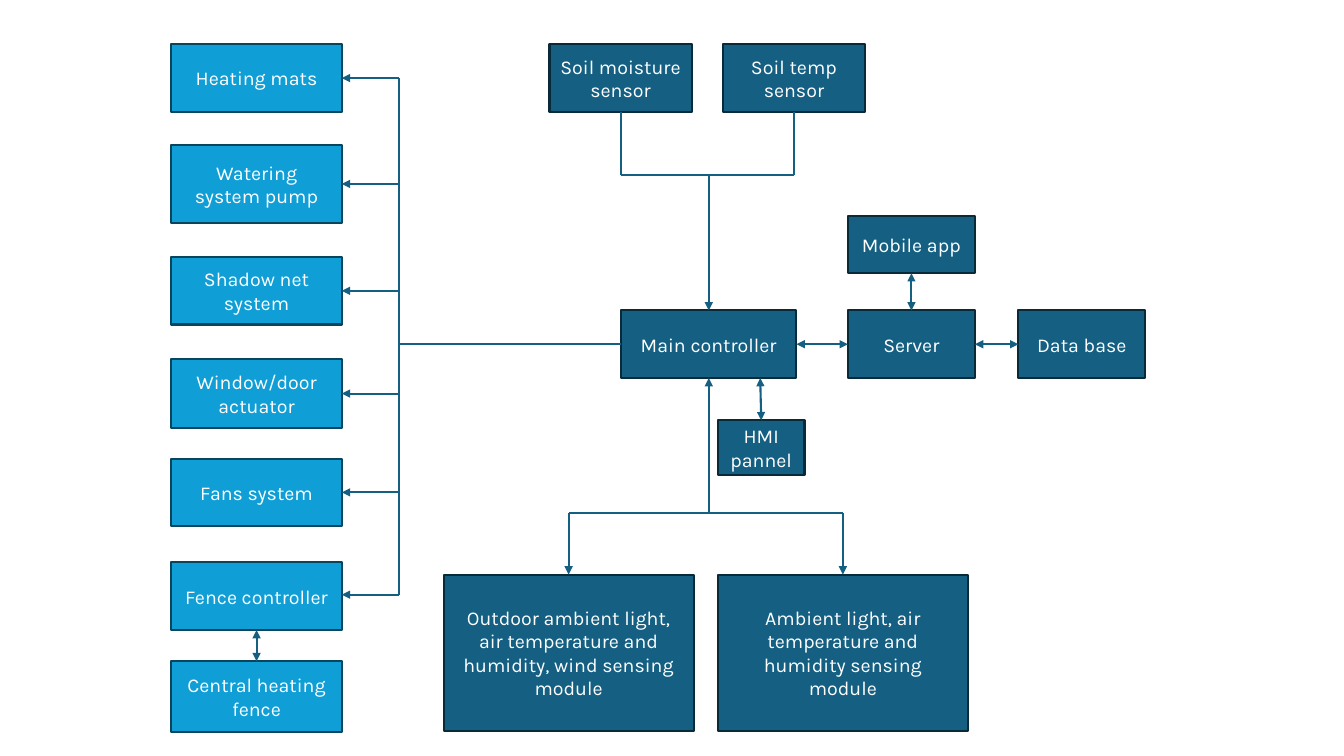
from pptx import Presentation
from pptx.dml.color import RGBColor
from pptx.enum import shapes, text
from pptx.oxml import parse_xml
from pptx.oxml.ns import nsdecls
from pptx.util import Inches, Pt

THEME = {
    "font": "Karla", "size": 14, "text": "FFFFFF", "line": 1.5, "link": "156082",
    "core": ("156082", "092A39"),      # fill, outline
    "actuator": ("0F9ED5", "07455D"),
}
TOP, LEFT, BOTTOM, RIGHT = range(4)

# label: (left, top, width, height)
CORE = {
    "Main controller": (6.16, 3.08, 1.74, 0.67),
    "Mobile app": (8.41, 2.14, 1.26, 0.57),
    "Server": (8.41, 3.08, 1.26, 0.67),
    "Data base": (10.1, 3.08, 1.26, 0.67),
    "HMI pannel": (7.12, 4.17, 0.86, 0.54),
    "Soil moisture sensor": (5.45, 0.44, 1.41, 0.67),
    "Soil temp sensor": (7.17, 0.44, 1.41, 0.67),
    "Outdoor ambient light, air temperature and humidity, wind sensing module":
        (4.4, 5.7, 2.48, 1.55),
    "Ambient light, air temperature and humidity sensing module":
        (7.12, 5.7, 2.48, 1.55),
}
# label: (top, height), all in one column
ACTUATOR_LEFT, ACTUATOR_WIDTH = 1.7, 1.69
ACTUATORS = {
    "Heating mats": (0.44, 0.67),
    "Watering system pump": (1.44, 0.77),
    "Shadow net system": (2.55, 0.67),
    "Window/door actuator": (3.56, 0.69),
    "Fans system": (4.55, 0.67),
    "Fence controller": (5.58, 0.67),
    "Central heating fence": (6.56, 0.7),
}
PROCESS_BOXES = {"Fans system", list(CORE)[7]}
MAIN, FENCE = "Main controller", "Fence controller"
SENSORS, MODULES = list(CORE)[5:7], list(CORE)[7:]
BUS_X, SENSOR_BUS_Y, MODULE_BUS_Y = 3.96, 1.74, 5.09

boxes = {**CORE, **{label: (ACTUATOR_LEFT, top, ACTUATOR_WIDTH, height)
                    for label, (top, height) in ACTUATORS.items()}}


def side_middle(label, side):
    x, y, w, h = boxes[label]
    return [(x + w / 2, y), (x, y + h / 2), (x + w / 2, y + h), (x + w, y + h / 2)][side]


def plan_links():
    """List (begin, end, arrows); an end is (label, side) or a point (x, y)."""
    links = [
        (("Server", LEFT), (MAIN, RIGHT), "both"),
        (("Mobile app", BOTTOM), ("Server", TOP), "both"),
        (("Data base", LEFT), ("Server", RIGHT), "both"),
        (("Central heating fence", TOP), (FENCE, BOTTOM), "both"),
        (("HMI pannel", TOP), (7.54, 3.75), "both"),
    ]
    bus_ys = []
    for label in list(ACTUATORS)[:-1]:
        # the bus meets the fence controller just above its middle
        y = 5.9 if label == FENCE else side_middle(label, LEFT)[1]
        end = (boxes[label][0] + ACTUATOR_WIDTH, y) if label == FENCE else (label, RIGHT)
        links.append(((BUS_X, y), end, "end"))
        bus_ys.append(y)
    links.append(((BUS_X, bus_ys[0]), (BUS_X, bus_ys[-1]), ""))
    links.append(((MAIN, LEFT), (BUS_X, side_middle(MAIN, LEFT)[1]), ""))

    main_x = side_middle(MAIN, TOP)[0]
    for labels, side, bus_y, main_side in ((SENSORS, BOTTOM, SENSOR_BUS_Y, TOP),
                                           (MODULES, TOP, MODULE_BUS_Y, BOTTOM)):
        xs = [side_middle(label, side)[0] for label in labels]
        arrows = "end" if labels == MODULES else ""
        links += [((x, bus_y), (label, side), arrows) for x, label in zip(xs, labels)]
        links.append(((xs[0], bus_y), (xs[1], bus_y), ""))
        links.append(((main_x, bus_y), (MAIN, main_side), "end"))
    return links


def add_box(slide, label):
    preset = shapes.MSO_SHAPE
    kind = preset.FLOWCHART_PROCESS if label in PROCESS_BOXES else preset.RECTANGLE
    sp = slide.shapes.add_shape(kind, *map(Inches, boxes[label]))
    fill, outline = THEME["actuator" if label in ACTUATORS else "core"]
    sp.shadow.inherit = False
    sp.fill.solid()
    sp.fill.fore_color.rgb = RGBColor.from_string(fill)
    sp.line.color.rgb = RGBColor.from_string(outline)
    sp.line.width = Pt(THEME["line"])
    tf = sp.text_frame
    tf.word_wrap = True
    tf.vertical_anchor = text.MSO_ANCHOR.MIDDLE
    p = tf.paragraphs[0]
    p.text = label
    p.alignment = text.PP_ALIGN.CENTER
    p.font.name = THEME["font"]
    p.font.size = Pt(THEME["size"])
    p.font.color.rgb = RGBColor.from_string(THEME["text"])
    return sp


def add_link(slide, placed, begin, end, arrows):
    points = [side_middle(*e) if e[0] in boxes else e for e in (begin, end)]
    cx = slide.shapes.add_connector(shapes.MSO_CONNECTOR.STRAIGHT,
                                    *(Inches(v) for point in points for v in point))
    for e, connect in ((begin, cx.begin_connect), (end, cx.end_connect)):
        if e[0] in boxes:
            connect(placed[e[0]], e[1])
    cx.line.color.rgb = RGBColor.from_string(THEME["link"])
    cx.line.width = Pt(THEME["line"])
    ln = cx.line._get_or_add_ln()
    for tag in {"both": ("headEnd", "tailEnd"), "end": ("tailEnd",), "": ()}[arrows]:
        ln.append(parse_xml(f'<a:{tag} {nsdecls("a")} type="triangle"/>'))
    cx._element.spPr.append(parse_xml(f'<a:effectLst {nsdecls("a")}/>'))


def main():
    prs = Presentation()
    prs.slide_width, prs.slide_height = Inches(13.33), Inches(7.5)
    slide = prs.slides.add_slide(prs.slide_layouts[6])
    placed = {label: add_box(slide, label) for label in boxes}
    for link in plan_links():
        add_link(slide, placed, *link)
    prs.save("out.pptx")


if __name__ == "__main__":
    main()
